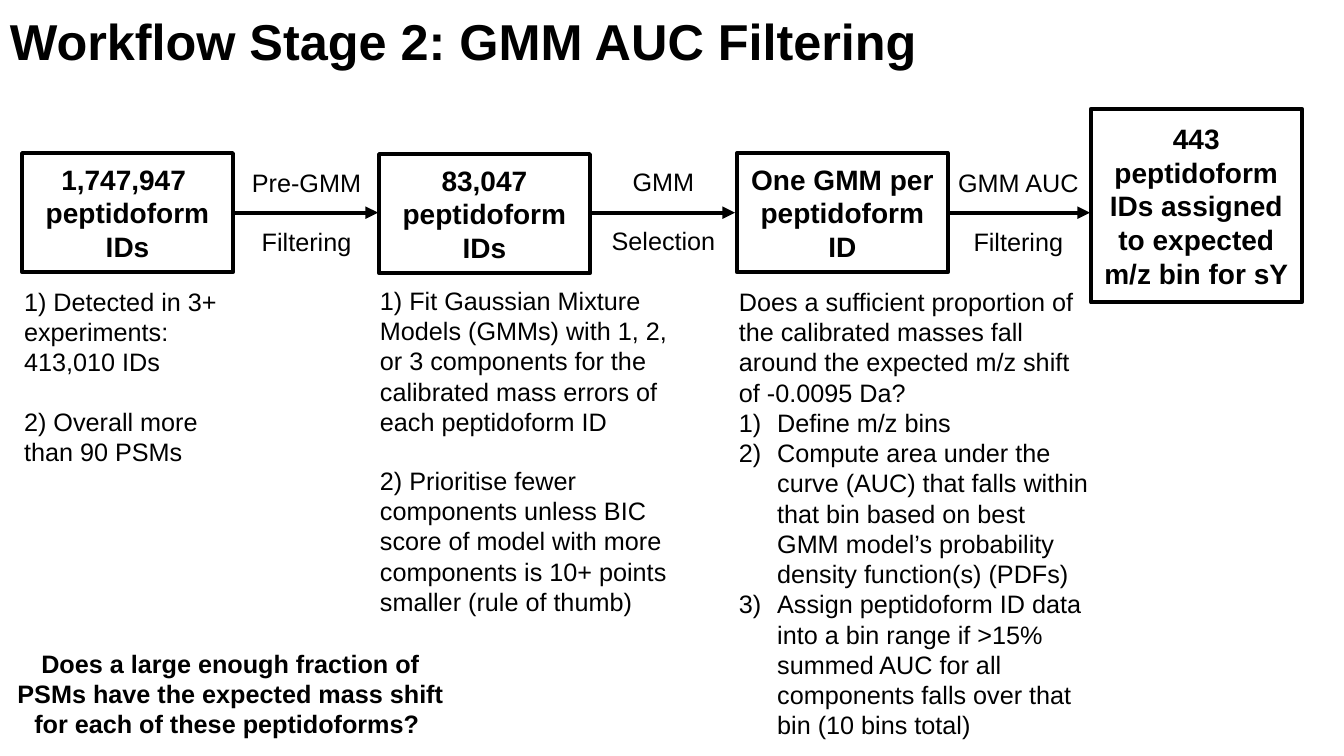
from dataclasses import dataclass

from lxml import etree
from pptx import Presentation
from pptx.dml.color import RGBColor
from pptx.enum.shapes import MSO_CONNECTOR, MSO_SHAPE
from pptx.enum.text import MSO_ANCHOR, PP_ALIGN
from pptx.oxml.ns import qn
from pptx.util import Emu, Pt

RECTANGLE = MSO_SHAPE.RECTANGLE
STRAIGHT = MSO_CONNECTOR.STRAIGHT
LEFT, CENTER = PP_ALIGN.LEFT, PP_ALIGN.CENTER
TOP, MIDDLE = MSO_ANCHOR.TOP, MSO_ANCHOR.MIDDLE

EMU_PER_PX = 9144  # 100 px to the inch
FONT = "Arial"
BLACK = "000000"
LINE_WIDTH = 3
BLANK_LINE = 20.7  # points, one line of 18 pt text
NUMBER_INDENT = 38
BOX_WIDTH = 209
ARROW_Y, ARROW_LENGTH = 211, 142
LABEL_WIDTH, LABEL_HEIGHT = 168, 101
LABEL_OVERHANG = 13


@dataclass(frozen=True)
class Line:
    text: str
    gap_before: bool = False
    numbered: bool = False


@dataclass(frozen=True)
class Stage:
    left: int
    top: int
    height: int
    lines: tuple[Line, ...]


@dataclass(frozen=True)
class Step:
    left: int
    label_top: int
    first: str
    second: str


@dataclass(frozen=True)
class Note:
    left: int
    top: int
    width: int
    height: int
    lines: tuple[Line, ...]


STAGES = (
    Stage(22, 152, 118, (Line("1,747,947 "), Line("peptidoform IDs"))),
    Stage(376, 153, 118, (Line("83,047"), Line("peptidoform IDs"))),
    Stage(731, 152, 118, (Line("One GMM per peptidoform ID"),)),
    Stage(1082, 108, 192, (Line("443 peptidoform IDs assigned to expected m/z bin for sY"),)),
)

STEPS = (
    Step(233, 161, "Pre-GMM", "Filtering"),
    Step(587, 160, "GMM", "Selection"),
    Step(939, 161, "GMM AUC", "Filtering"),
)

NOTES = (
    Note(14, 279, 239, 192, (
        Line("1) Detected in 3+ experiments:"),
        Line("413,010 IDs"),
        Line("2) Overall more than 90 PSMs", gap_before=True),
    )),
    Note(367, 278, 315, 343, (
        Line("1) Fit Gaussian Mixture Models (GMMs) with 1, 2, or 3 components for the "
             "calibrated mass errors of each peptidoform ID"),
        Line("2) Prioritise fewer components unless BIC score of model with more "
             "components is 10+ points smaller (rule of thumb)", gap_before=True),
    )),
    Note(723, 279, 371, 495, (
        Line("Does a sufficient proportion of the calibrated masses fall around the "
             "expected m/z shift of -0.0095 Da?"),
        Line("Define m/z bins", numbered=True),
        Line("Compute area under the curve (AUC) that falls within that bin based on "
             "best GMM model’s probability density function(s) (PDFs)", numbered=True),
        Line("Assign peptidoform ID data into a bin range if >15% summed AUC for all "
             "components falls over that bin (10 bins total)", numbered=True),
    )),
)


def px(length: int) -> Emu:
    return Emu(length * EMU_PER_PX)


def color(value: str) -> RGBColor:
    return RGBColor.from_string(value)


def number_paragraph(paragraph) -> None:
    properties = paragraph._p.get_or_add_pPr()
    properties.set("marL", str(px(NUMBER_INDENT)))
    properties.set("indent", str(-px(NUMBER_INDENT)))
    etree.SubElement(properties, qn("a:buFont"), typeface="+mj-lt")
    etree.SubElement(properties, qn("a:buAutoNum"), type="arabicParenR")


def write_text(shape, lines: tuple[Line, ...], *, size: int = 18, bold: bool = False,
               align=LEFT, anchor=TOP, line_spacing: float = 1.0) -> None:
    frame = shape.text_frame
    frame.word_wrap = True
    frame.vertical_anchor = anchor
    for index, line in enumerate(lines):
        paragraph = frame.add_paragraph() if index else frame.paragraphs[0]
        if line.numbered:
            number_paragraph(paragraph)
        paragraph.alignment = align
        paragraph.line_spacing = line_spacing
        if line.gap_before:
            paragraph.space_before = Pt(BLANK_LINE)
        run = paragraph.add_run()
        run.text = line.text
        run.font.name = FONT
        run.font.size = Pt(size)
        run.font.bold = bold
        run.font.color.rgb = color(BLACK)


def add_text(shapes, left: int, top: int, width: int, height: int,
             lines: tuple[Line, ...], **text_format) -> None:
    box = shapes.add_textbox(px(left), px(top), px(width), px(height))
    write_text(box, lines, **text_format)


def add_stage(shapes, stage: Stage) -> None:
    box = shapes.add_shape(RECTANGLE, px(stage.left), px(stage.top),
                           px(BOX_WIDTH), px(stage.height))
    box.shadow.inherit = False
    box.fill.background()
    box.line.color.rgb = color(BLACK)
    box.line.width = Pt(LINE_WIDTH)
    write_text(box, stage.lines, size=20, bold=True, align=CENTER, anchor=MIDDLE)


def add_step(shapes, step: Step) -> None:
    """Group an arrow with the words above and below it."""
    group = shapes.add_group_shape().shapes
    label = (Line(step.first), Line(step.second, gap_before=True))
    add_text(group, step.left - LABEL_OVERHANG, step.label_top,
             LABEL_WIDTH, LABEL_HEIGHT, label, align=CENTER)
    arrow = group.add_connector(STRAIGHT, px(step.left), px(ARROW_Y),
                                px(step.left + ARROW_LENGTH), px(ARROW_Y))
    arrow.line.color.rgb = color(BLACK)
    arrow.line.width = Pt(LINE_WIDTH)
    etree.SubElement(arrow.line._get_or_add_ln(), qn("a:tailEnd"), type="triangle")
    etree.SubElement(arrow._element.spPr, qn("a:effectLst"))


def main() -> None:
    presentation = Presentation()
    presentation.slide_width, presentation.slide_height = px(1333), px(750)
    slide = presentation.slides.add_slide(presentation.slide_layouts[6])
    shapes = slide.shapes

    add_text(shapes, 0, -29, 1326, 145, (Line("Workflow Stage 2: GMM AUC Filtering"),),
             size=36, bold=True, anchor=MIDDLE, line_spacing=0.9)
    for step in STEPS:
        add_step(shapes, step)
    for stage in STAGES:
        add_stage(shapes, stage)
    for note in NOTES:
        add_text(shapes, note.left, note.top, note.width, note.height, note.lines)
    question = Line("Does a large enough fraction of PSMs have the expected mass shift "
                    "for each of these peptidoforms? ")
    add_text(shapes, 0, 638, 457, 101, (question,), bold=True, align=CENTER)

    presentation.save("out.pptx")


if __name__ == "__main__":
    main()
